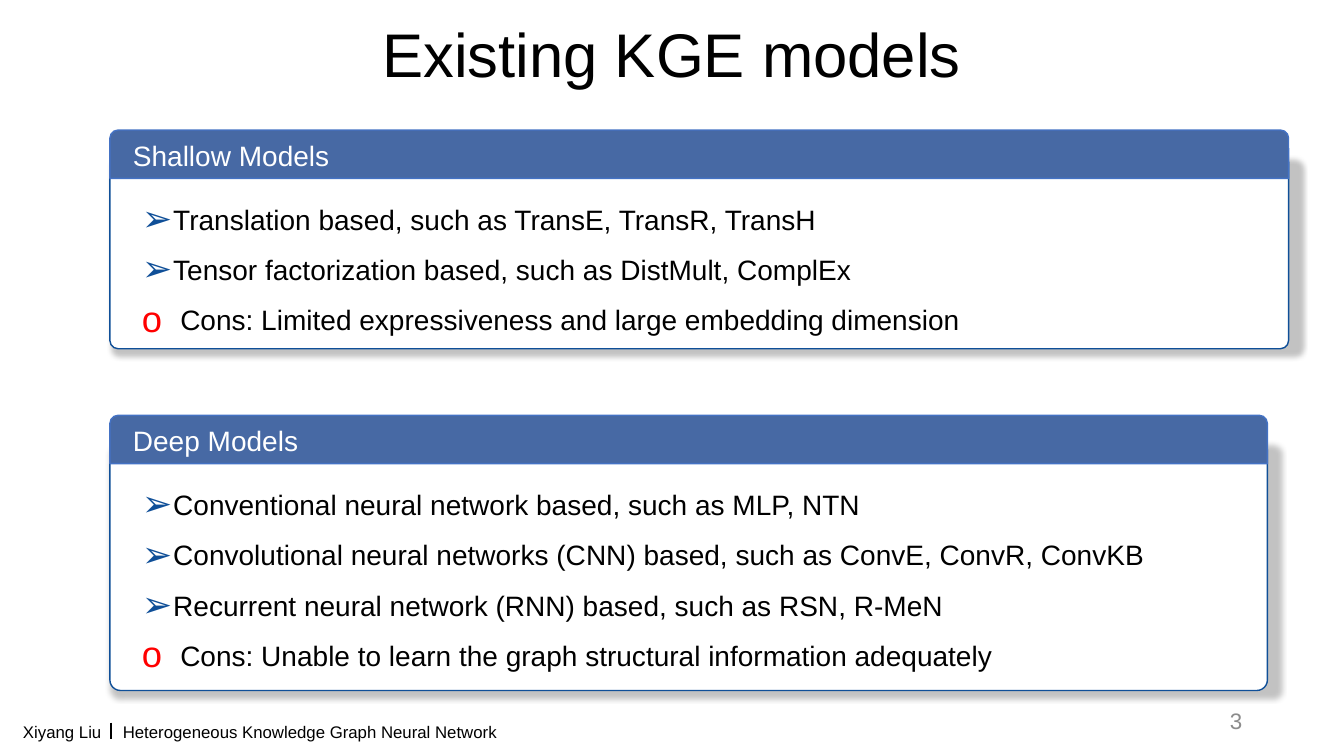
from lxml import etree
from pptx import Presentation, util as u
from pptx.dml.color import RGBColor
from pptx.enum import shapes, text
from pptx.oxml import parse_xml
from pptx.oxml.ns import qn

TITLE = "Existing KGE models"
AUTHOR, TOPIC, PAGE = "Xiyang Liu", "Heterogeneous Knowledge Graph Neural Network", "3"
CARDS = [
    {"head": "Shallow Models", "top": 1.29, "wide": 11.69, "high": 2.17,
     "pros": ["Translation based, such as TransE, TransR, TransH",
              "Tensor factorization based, such as DistMult, ComplEx"],
     "cons": "Cons: Limited expressiveness and large embedding dimension"},
    {"head": "Deep Models", "top": 4.12, "wide": 11.48, "high": 2.73,
     "pros": ["Conventional neural network based, such as MLP, NTN",
              "Convolutional neural networks (CNN) based, such as ConvE, ConvR, ConvKB",
              "Recurrent neural network (RNN) based, such as RSN, R-MeN"],
     "cons": "Cons: Unable to learn the graph structural information adequately"},
]
THEME = {
    "font": "Arial",
    "ink": "000000", "paper": "FFFFFF", "bar": "4769A4", "rim": "4472C4",
    "edge": "0F4F98", "warn": "FF0000", "mute": "8C8C8C",
    "title": 44, "body": 20, "page": 16, "foot": 12,
}
WIDE, HIGH = 13.33, 7.5
LEFT, BAR, STEP = 1.09, 0.48, 0.24
MARKS = {"pro": ("➢", "edge", 0.31), "con": ("o", "warn", 0.38)}
SHADOW = (
    '<a:outerShdw xmlns:a="http://schemas.openxmlformats.org/drawingml/2006/main"'
    ' blurRad="50800" dist="63500" dir="4800000" sx="101000" algn="tl"'
    ' rotWithShape="0"><a:srgbClr val="000000"><a:alpha val="24000"/>'
    '</a:srgbClr></a:outerShdw>')


def tint(name):
    return RGBColor.from_string(THEME[name])


def box(*lengths):
    return [u.Inches(x) for x in lengths]


def style(para, size, ink="ink", **form):
    font = {"name": THEME["font"], "size": u.Pt(THEME[size])}
    for item, values in ((para.font, font), (para, form)):
        for key, value in values.items():
            setattr(item, key, value)
    para.font.color.rgb = tint(ink)


def label(parent, place, words, size, ink="ink", wrap=True, **form):
    frame = parent.add_textbox(*box(*place)).text_frame
    frame.word_wrap = wrap
    frame.text = words
    style(frame.paragraphs[0], size, ink, **form)
    return frame


def panel(parent, kind, place, fill, line):
    shape = parent.add_shape(kind, *box(*place))
    shape.fill.solid()
    shape.fill.fore_color.rgb = tint(fill)
    shape.line.color.rgb = tint(line)
    shape.line.width = u.Pt(1)
    shape.shadow.inherit = False
    return shape


def bullet(para, mark, ink, indent):
    props = para._p.get_or_add_pPr()
    props.set("marL", str(u.Inches(indent)))
    props.set("indent", str(-u.Inches(indent)))
    color = etree.SubElement(props, qn("a:buClr"))
    etree.SubElement(color, qn("a:srgbClr"), val=THEME[ink])
    etree.SubElement(props, qn("a:buSzPct"), val="130000")
    etree.SubElement(props, qn("a:buFont"), typeface=THEME["font"])
    etree.SubElement(props, qn("a:buChar"), char=mark)


def card(slide, head, top, wide, high, pros, cons):
    parts = slide.shapes.add_group_shape().shapes
    kinds = shapes.MSO_SHAPE
    body = panel(parts, kinds.ROUNDED_RECTANGLE,
                 (LEFT, top + STEP, wide, high - STEP), "paper", "edge")
    body.adjustments[0] = 0.042
    body._element.spPr.find(qn("a:effectLst")).append(parse_xml(SHADOW))
    panel(parts, kinds.ROUND_2_SAME_RECTANGLE, (LEFT, top, wide, BAR), "bar", "rim")
    label(parts, (LEFT + 0.13, top + 0.03, 2.5, 0.44), head, "body", "paper", wrap=False)

    rows = [(line, "pro") for line in pros] + [(cons, "con")]
    frame = parts.add_textbox(
        *box(LEFT + 0.22, top + 0.5, wide - 0.35, 0.07 + 0.5 * len(rows))).text_frame
    frame.word_wrap = True
    for i, (line, kind) in enumerate(rows):
        para = frame.add_paragraph() if i else frame.paragraphs[0]
        para.text = line
        bullet(para, *MARKS[kind])
        style(para, "body", line_spacing=1.5)


def footer(slide):
    parts, top = slide.shapes, 7.11
    label(parts, (0.13, top, 1.03, 0.3), AUTHOR, "foot")
    label(parts, (1.12, top, 3.96, 0.3), TOPIC, "foot")
    rule = parts.add_connector(shapes.MSO_CONNECTOR.STRAIGHT,
                               *box(1.1, top + 0.06, 1.1, top + 0.22))
    rule.line.color.rgb = tint("ink")
    rule.line.width = u.Pt(1)
    etree.SubElement(rule._element.spPr, qn("a:effectLst"))
    page = label(parts, (9.42, 6.95, 3, 0.4), PAGE, "page", "mute",
                 alignment=text.PP_ALIGN.RIGHT)
    page.vertical_anchor = text.MSO_ANCHOR.MIDDLE


def main():
    deck = Presentation()
    deck.slide_width, deck.slide_height = box(WIDE, HIGH)
    slide = deck.slides.add_slide(deck.slide_layouts[5])
    title = slide.shapes.title
    title.left, title.top, title.width, title.height = box(2.63, 0.15, 8.07, 0.84)
    title.text_frame.text = TITLE
    title.text_frame.vertical_anchor = text.MSO_ANCHOR.MIDDLE
    style(title.text_frame.paragraphs[0], "title",
          alignment=text.PP_ALIGN.CENTER, line_spacing=0.9)
    for data in CARDS:
        card(slide, **data)
    footer(slide)
    deck.save("out.pptx")


if __name__ == "__main__":
    main()
